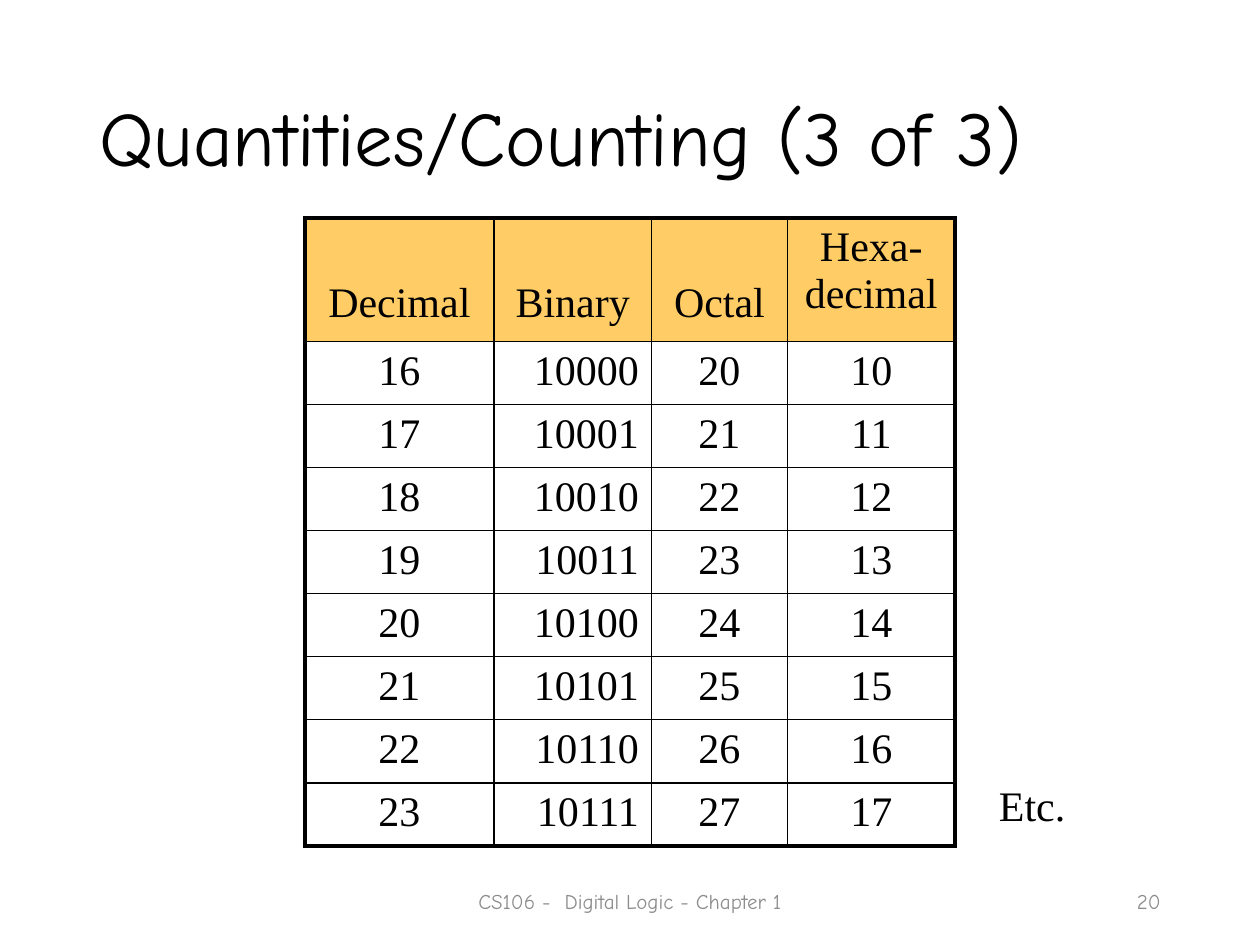
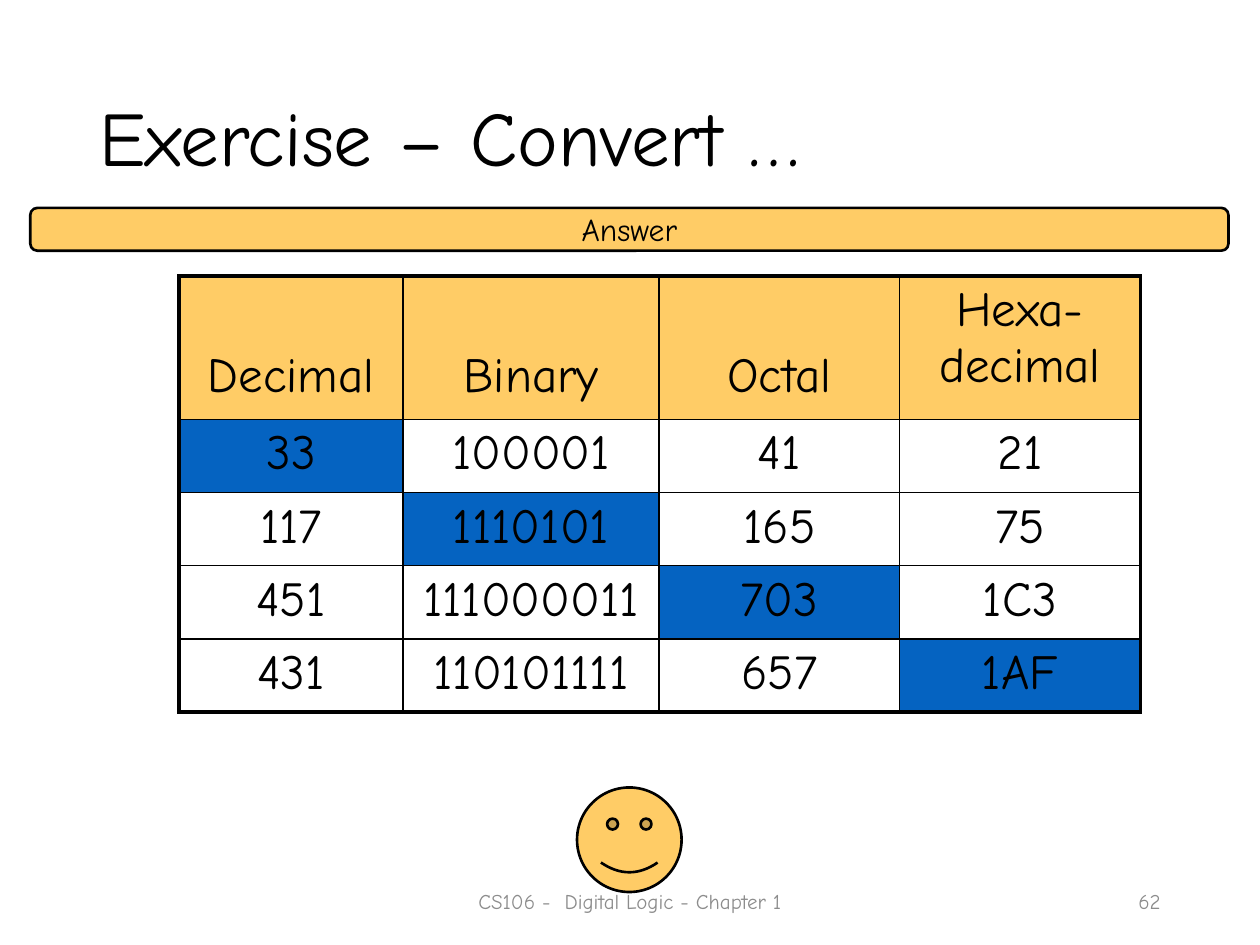
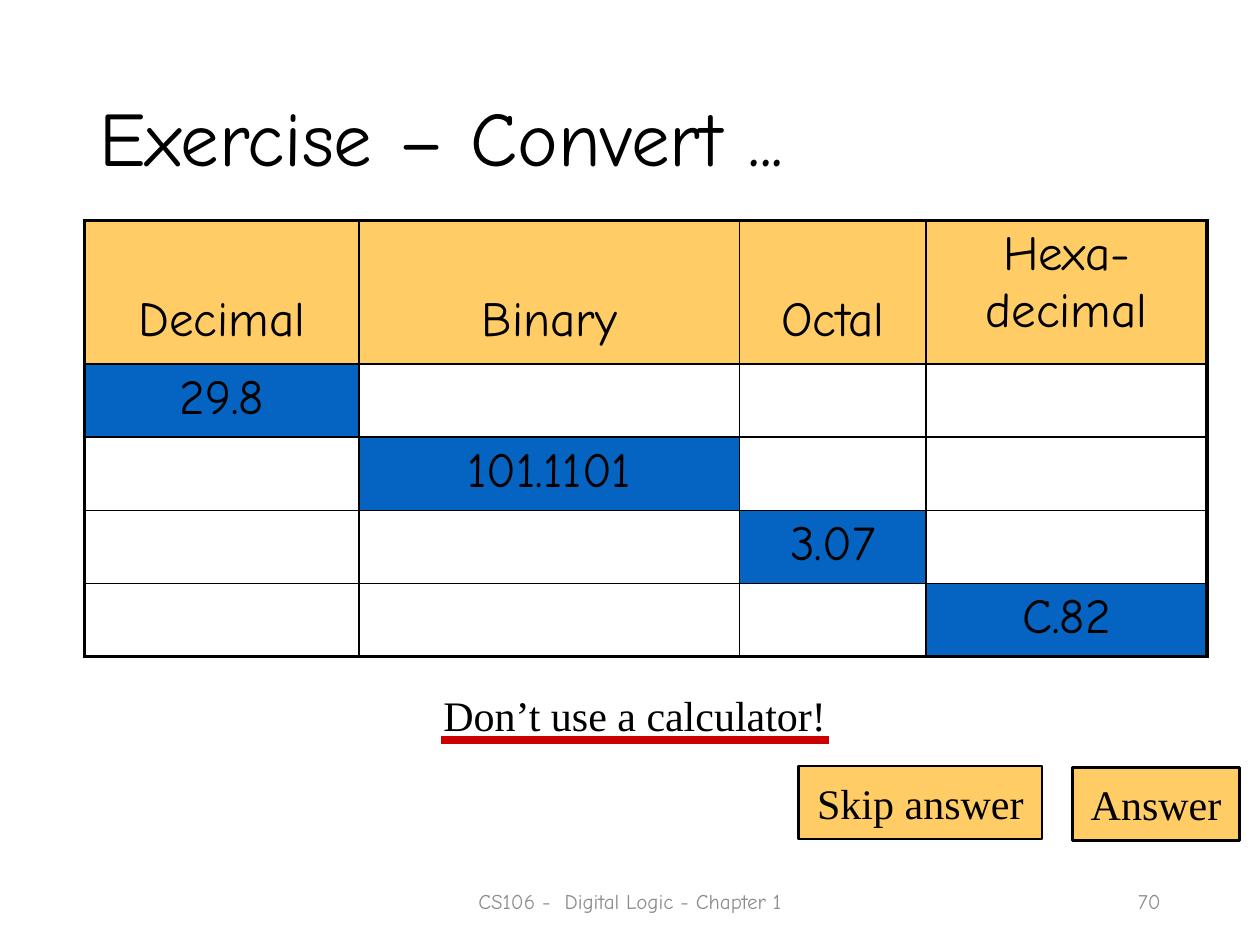
import dataclasses
import pptx
import pptx.util
import pptx.dml.color
import pptx.enum.shapes
import pptx.enum.text
import pptx.oxml.ns
import lxml.etree

Inches = pptx.util.Inches
Pt = pptx.util.Pt
SHAPE = pptx.enum.shapes.MSO_SHAPE
ALIGN = pptx.enum.text.PP_ALIGN
ANCHOR = pptx.enum.text.MSO_ANCHOR
qn = pptx.oxml.ns.qn


@dataclasses.dataclass(frozen=True)
class Theme:
    hand: str = "Comic Neue"
    serif: str = "Times New Roman"
    ink: str = "000000"
    gold: str = "FFCC66"
    blue: str = "0563C1"
    red: str = "CC0000"
    gray: str = "8C8C8C"
    title: int = 44
    large: int = 28
    body: int = 24
    label: int = 18
    foot: int = 12
    thick: float = 2.25
    thin: float = 1
    edge: float = 1.5
    rule: float = 4.5


T = Theme()
HEADS = ["Decimal", "Binary", "Octal", "Hexa-\vdecimal"]
FOOT = "CS106 -  Digital Logic - Chapter 1"

COUNTS = [
    ("16", "10000", "20", "10"),
    ("17", "10001", "21", "11"),
    ("18", "10010", "22", "12"),
    ("19", "10011", "23", "13"),
    ("20", "10100", "24", "14"),
    ("21", "10101", "25", "15"),
    ("22", "10110", "26", "16"),
    ("23", "10111", "27", "17"),
]
SOLVED = [
    ("33", "100001", "41", "21"),
    ("117", "1110101", "165", "75"),
    ("451", "111000011", "703", "1C3"),
    ("431", "110101111", "657", "1AF"),
]
GIVEN = ["29.8", "101.1101", "3.07", "C.82"]
TASKS = [[num if col == row else "" for col in range(4)]
         for row, num in enumerate(GIVEN)]
BUTTONS = [("Skip answer", (6.34, 6.08, 1.93, 0.58)),
           ("Answer", (8.51, 6.09, 1.33, 0.58))]


def color(code):
    return pptx.dml.color.RGBColor.from_string(code)


def write(frame, text, face, size, tint=T.ink, align=ALIGN.LEFT):
    frame.text = text
    para = frame.paragraphs[0]
    para.alignment = align
    para.font.name = face
    para.font.size = Pt(size)
    para.font.color.rgb = color(tint)
    return para


def add_text(slide, box, text, face, size, tint=T.ink, align=ALIGN.LEFT,
             anchor=ANCHOR.MIDDLE, wrap=True):
    frame = slide.shapes.add_textbox(*map(Inches, box)).text_frame
    frame.word_wrap = wrap
    frame.vertical_anchor = anchor
    return write(frame, text, face, size, tint, align)


def add_gold(slide, kind, box):
    shape = slide.shapes.add_shape(kind, *map(Inches, box))
    shape.shadow.inherit = False
    shape.fill.solid()
    shape.fill.fore_color.rgb = color(T.gold)
    shape.line.color.rgb = color(T.ink)
    shape.line.width = Pt(T.edge)
    return shape


def add_label(slide, kind, box, text, face, size, wrap=True):
    shape = add_gold(slide, kind, box)
    frame = shape.text_frame
    frame.word_wrap = wrap
    frame.vertical_anchor = ANCHOR.MIDDLE
    write(frame, text, face, size, align=ALIGN.CENTER)
    return shape


def add_rule(slide, left, right, top):
    ends = map(Inches, (left, top, right, top))
    rule = slide.shapes.add_connector(
        pptx.enum.shapes.MSO_CONNECTOR.STRAIGHT, *ends)
    rule.line.color.rgb = color(T.red)
    rule.line.width = Pt(T.rule)
    lxml.etree.SubElement(rule._element.spPr, qn("a:effectLst"))


def set_edges(cell, outer):
    props = cell._tc.get_or_add_tcPr()
    for side in "LRTB":
        width = T.thick if side in outer else T.thin
        line = lxml.etree.SubElement(props, qn("a:ln" + side), w=str(Pt(width)))
        fill = lxml.etree.SubElement(line, qn("a:solidFill"))
        lxml.etree.SubElement(fill, qn("a:srgbClr"), val=T.ink)


def add_grid(slide, left, top, cols, head, step, data, face, size,
             marks=False, right=()):
    rows = [HEADS, *data]
    high = head + step * len(data)
    box = map(Inches, (left, top, sum(cols), high))
    table = slide.shapes.add_table(len(rows), len(cols), *box).table
    table.first_row = table.horz_banding = False
    for col, wide in enumerate(cols):
        table.columns[col].width = Inches(wide)
    for row, texts in enumerate(rows):
        table.rows[row].height = Inches(step if row else head)
        for col, text in enumerate(texts):
            cell = table.cell(row, col)
            outer = {"L": col == 0, "R": col == len(cols) - 1,
                     "T": row == 0, "B": row == len(data)}
            set_edges(cell, [side for side in outer if outer[side]])
            if row == 0 or marks and row == col + 1:
                cell.fill.solid()
                cell.fill.fore_color.rgb = color(T.blue if row else T.gold)
            else:
                cell.fill.background()
            if row == 0 and "\v" not in text:
                cell.vertical_anchor = ANCHOR.BOTTOM
                cell.margin_bottom = Inches(0.12)
            align = ALIGN.RIGHT if row and col in right else ALIGN.CENTER
            write(cell.text_frame, text, face, size, align=align)


def add_slide(deck, title, number):
    slide = deck.slides.add_slide(deck.slide_layouts[6])
    para = add_text(slide, (0.69, 0.4, 8.62, 1.45), title, T.hand, T.title)
    para.line_spacing = 0.9
    return slide, number


def add_foot(slide, number):
    add_text(slide, (3.31, 6.95, 3.38, 0.4), FOOT, T.hand, T.foot, T.gray,
             ALIGN.CENTER)
    add_text(slide, (7.06, 6.95, 2.25, 0.4), str(number), T.hand, T.foot,
             T.gray, ALIGN.RIGHT)


def add_count(deck):
    slide, number = add_slide(deck, "Quantities/Counting (3 of 3)", 20)
    add_grid(slide, 2.42, 1.73, (1.5, 1.25, 1.08, 1.33), 0.98, 0.5, COUNTS,
             T.serif, T.body, right=(1,))
    add_text(slide, (7.83, 6.14, 0.73, 0.5), "Etc.", T.serif, T.body,
             anchor=ANCHOR.TOP, wrap=False)
    add_foot(slide, number)


def add_solved(deck):
    slide, number = add_slide(deck, "Exercise – Convert …", 62)
    add_grid(slide, 1.42, 2.19, (1.78, 2.03, 1.91, 1.91), 1.14, 0.58, SOLVED,
             T.hand, T.large, marks=True)
    add_gold(slide, SHAPE.SMILEY_FACE, (4.58, 6.25, 0.83, 0.83))
    band = add_label(slide, SHAPE.ROUNDED_RECTANGLE, (0.24, 1.65, 9.51, 0.34),
                     "Answer", T.hand, T.label)
    band.text_frame.margin_top = band.text_frame.margin_bottom = 0
    add_foot(slide, number)


def add_task(deck):
    slide, number = add_slide(deck, "Exercise – Convert ...", 70)
    add_text(slide, (3.42, 5.42, 3.24, 0.5), "Don’t use a calculator!",
             T.serif, T.body, anchor=ANCHOR.TOP, wrap=False)
    add_rule(slide, 3.5, 6.58, 5.87)
    add_grid(slide, 0.67, 1.75, (2.18, 3.02, 1.48, 2.23), 1.14, 0.58, TASKS,
             T.hand, T.large, marks=True)
    for text, box in BUTTONS:
        add_label(slide, SHAPE.ACTION_BUTTON_CUSTOM, box, text, T.serif,
                  T.body, wrap=False)
    add_foot(slide, number)


def main():
    deck = pptx.Presentation()
    deck.slide_width = Inches(10)
    deck.slide_height = Inches(7.5)
    add_count(deck)
    add_solved(deck)
    add_task(deck)
    deck.save("out.pptx")


if __name__ == "__main__":
    main()
